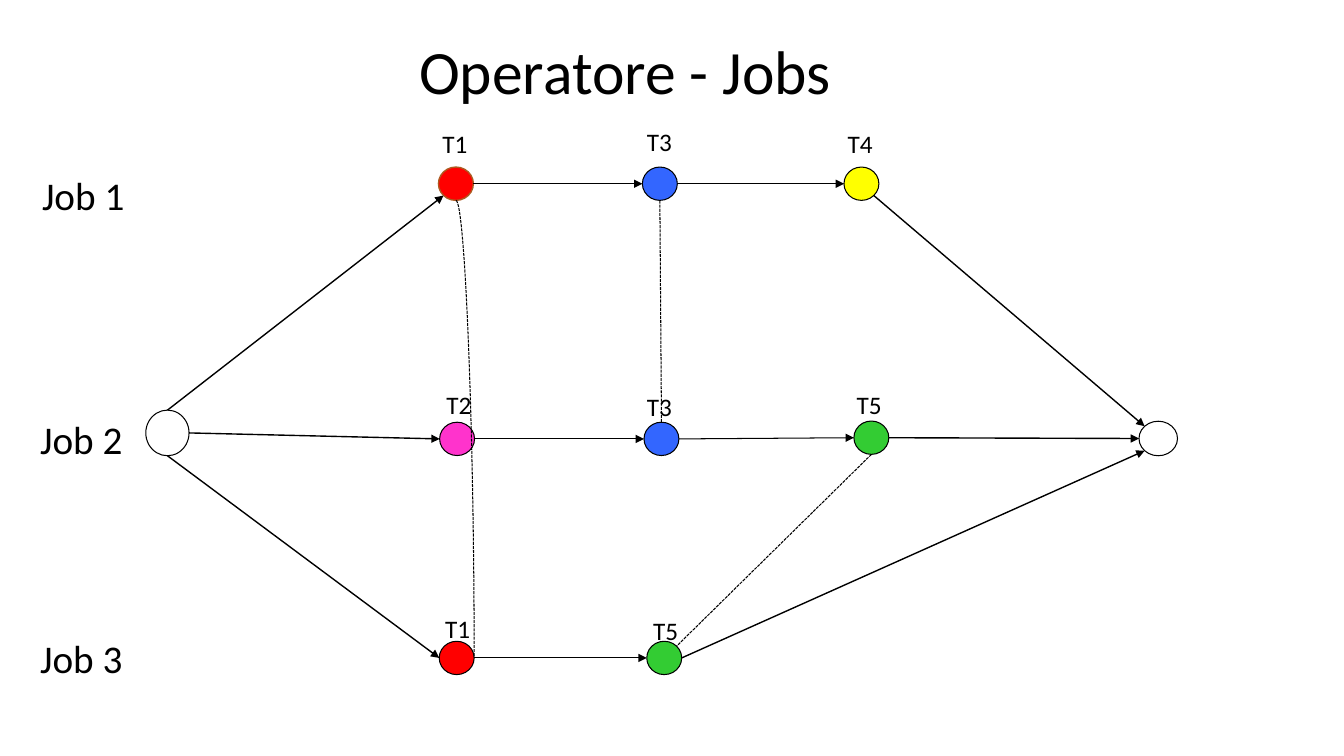
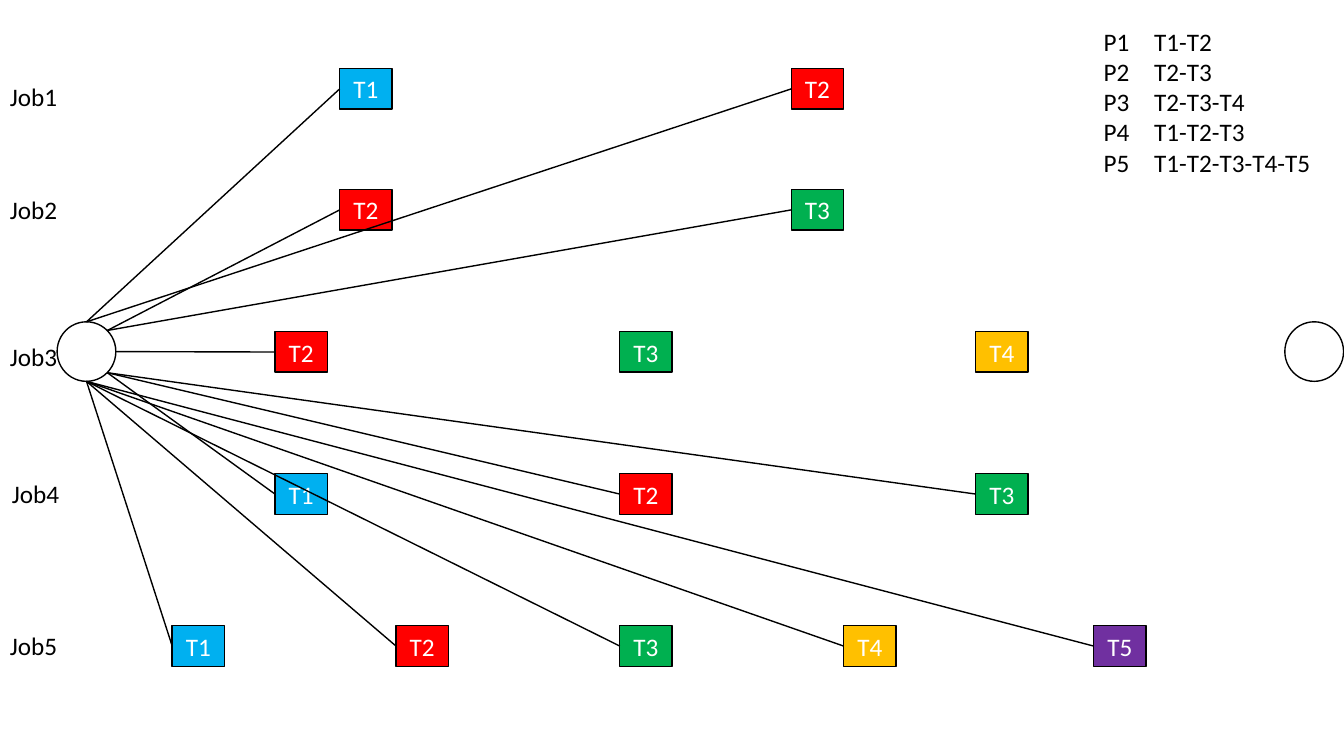
from lxml import etree
from pptx import Presentation
from pptx.dml.color import RGBColor
from pptx.enum.dml import MSO_LINE
from pptx.enum.shapes import MSO_CONNECTOR, MSO_SHAPE
from pptx.enum.text import MSO_ANCHOR, MSO_AUTO_SIZE, PP_ALIGN
from pptx.oxml.ns import qn
from pptx.util import Cm, Pt

OVAL, RECT = MSO_SHAPE.OVAL, MSO_SHAPE.RECTANGLE
LINE, CURVE = MSO_CONNECTOR.STRAIGHT, MSO_CONNECTOR.CURVE
DASH = MSO_LINE.SQUARE_DOT
LEFT, MID = PP_ALIGN.LEFT, PP_ALIGN.CENTER
TOP, CENTRE = MSO_ANCHOR.TOP, MSO_ANCHOR.MIDDLE
FIXED = MSO_AUTO_SIZE.NONE

FACE = "Calibri"
INK = {
    "black": "000000", "white": "FFFFFF", "red": "FF0000",
    "rust": "AE5A21", "blue": "3366FF", "pink": "FF33CC",
    "yellow": "FFFF00", "lime": "33CC33", "sky": "00B0F0",
    "green": "00B050", "gold": "FFC000", "plum": "7030A0",
}
DIAG = 0.71
PORTS = {
    "n": (0, -1), "ne": (DIAG, -DIAG), "e": (1, 0), "se": (DIAG, DIAG),
    "s": (0, 1), "sw": (-DIAG, DIAG), "w": (-1, 0), "nw": (-DIAG, -DIAG),
}


def tint(name):
    return RGBColor.from_string(INK[name])


def style(para, size, ink="black", align=LEFT):
    para.alignment = align
    font = para.font
    font.name, font.size = FACE, Pt(size)
    font.color.rgb = tint(ink)


def label(slide, text, x, y, w, h, size):
    frame = slide.shapes.add_textbox(Cm(x), Cm(y), Cm(w), Cm(h)).text_frame
    frame.word_wrap = True
    frame.text = text
    style(frame.paragraphs[0], size)


def shape(slide, kind, x, y, w, h, fill=None, edge="black", width=1):
    item = slide.shapes.add_shape(kind, Cm(x), Cm(y), Cm(w), Cm(h))
    item.shadow.inherit = False
    if fill:
        item.fill.solid()
        item.fill.fore_color.rgb = tint(fill)
    else:
        item.fill.background()
    item.line.color.rgb = tint(edge)
    item.line.width = Pt(width)
    return item


def node(slide, x, y, w, h, **looks):
    return shape(slide, OVAL, x - w / 2, y - h / 2, w, h, **looks)


def port(item, side):
    dx, dy = PORTS[side]
    return (int(item.left + item.width * (1 + dx) / 2),
            int(item.top + item.height * (1 + dy) / 2))


def link(slide, start, exit, end, entry, width=1, kind=LINE):
    wire = slide.shapes.add_connector(
        kind, *port(start, exit), *port(end, entry))
    wire.line.color.rgb = tint("black")
    wire.line.width = Pt(width)
    etree.SubElement(wire._element.spPr, qn("a:effectLst"))
    return wire


def arrow(wire):
    tail = etree.SubElement(wire.line._get_or_add_ln(), qn("a:tailEnd"))
    tail.set("type", "triangle")


def title(slide, text, x, y, w, h):
    head = slide.shapes.title
    head.left, head.top, head.width, head.height = map(Cm, (x, y, w, h))
    frame = head.text_frame
    frame.text = text
    frame.auto_size = FIXED
    frame.vertical_anchor = TOP
    style(frame.paragraphs[0], 44)


def graph(slide, left, top):
    tasks = [
        ("1a", "T1", "red", 11.49, 1.63, -0.59, -1.53),
        ("1b", "T3", "blue", 16.63, 1.63, -0.58, -1.58),
        ("1c", "T4", "yellow", 21.71, 1.63, -0.6, -1.53),
        ("2a", "T2", "pink", 11.52, 8.06, -0.52, -1.38),
        ("2b", "T3", "blue", 16.67, 8.06, -0.62, -1.33),
        ("2c", "T5", "lime", 21.96, 8.03, -0.62, -1.35),
        ("3a", "T1", "red", 11.51, 13.58, -0.54, -1.26),
        ("3b", "T5", "lime", 16.74, 13.58, -0.53, -1.19),
    ]
    nodes = {
        "in": node(slide, left + 4.22, top + 7.91, 1.09, 1.15, width=0.75),
        "out": node(slide, left + 29.19, top + 8.05, 0.97, 0.87, width=0.75),
    }
    for key, name, fill, x, y, dx, dy in tasks:
        first = key == "1a"
        nodes[key] = node(
            slide, left + x, top + y, 0.88, 0.84, fill=fill,
            edge="rust" if first else "black", width=1 if first else 0.75)
        label(slide, name, left + x + dx, top + y + dy, 1.3, 1.04, 18)

    outer = [
        ("in", "n", "1a", "sw"), ("in", "e", "2a", "w"),
        ("in", "s", "3a", "w"), ("1c", "se", "out", "nw"),
        ("2c", "e", "out", "w"), ("3b", "e", "out", "sw"),
    ]
    inner = [(a, "e", b, "w") for a, b in (
        ("1a", "1b"), ("1b", "1c"), ("2a", "2b"), ("2b", "2c"),
        ("3a", "3b"))]
    for wires, width in ((outer, 1), (inner, 0.75)):
        for a, exit, b, entry in wires:
            arrow(link(slide, nodes[a], exit, nodes[b], entry, width))

    for a, exit, b, entry, kind in (
            ("1a", "s", "3a", "e", CURVE), ("1b", "s", "2b", "n", LINE),
            ("2c", "s", "3b", "ne", LINE)):
        wire = link(slide, nodes[a], exit, nodes[b], entry, 0.75, kind)
        wire.line.dash_style = DASH
        if kind == CURVE:
            geom = wire._element.spPr.find(qn("a:prstGeom"))
            geom.set("prst", "curvedConnector2")

    for text, x, y in (("Job 1", 0.81, 1.19), ("Job 2", 0.76, 7.34),
                       ("Job 3", 0.76, 12.85)):
        label(slide, text, left + x, top + y, 3.25, 1.47, 28)


def box(slide, name, fill, x, y):
    item = shape(slide, RECT, x, y, 1.32, 1.02, fill=fill)
    frame = item.text_frame
    frame.vertical_anchor = CENTRE
    frame.text = name
    style(frame.paragraphs[0], 18, "white", MID)
    return item


def board(slide, left, top):
    fills = dict(T1="sky", T2="red", T3="green", T4="gold", T5="plum")
    pair, trio = (8.56, 19.94), (6.93, 15.62, 24.59)
    five = (4.34, 9.98, 15.62, 21.26, 27.56)
    jobs = [
        ("Job1", 0, 0.93, 0.73, "n", 1, pair),
        ("Job2", 0, 3.78, 3.78, "ne", 2, pair),
        ("Job3", 0, 7.48, 7.36, "e", 2, trio),
        ("Job4", 0.05, 10.94, 10.94, "se", 1, trio),
        ("Job5", 0, 14.77, 14.77, "s", 1, five),
    ]
    start, _ = [node(slide, left + x, top + 7.86, 1.48, 1.5, fill="white")
                for x in (2.18, 33.12)]
    wires = []
    for job, x, text, y, side, first, places in jobs:
        label(slide, job, left + x, top + text, 1.98, 1.02, 18)
        for i, place in enumerate(places):
            name = f"T{first + i}"
            item = box(slide, name, fills[name], left + place, top + y)
            if job != "Job3" or i == 0:
                wires.append((side, item))
    for side, item in wires:
        link(slide, start, side, item, "w").end_connect(item, 1)


def legend(slide, x, y, w, h):
    body = slide.placeholders[1]
    body.left, body.top, body.width, body.height = map(Cm, (x, y, w, h))
    frame = body.text_frame
    frame.auto_size = FIXED
    frame.margin_right = 0
    rows = [("P1", "T1-T2"), ("P2", "T2-T3"), ("P3", "T2-T3-T4"),
            ("P4", "T1-T2-T3"), ("P5", "T1-T2-T3-T4-T5")]
    frame.text = "\n".join("\t".join(row) for row in rows)
    for para in frame.paragraphs:
        para.space_before = Pt(0)
        props = para._p.get_or_add_pPr()
        props.set("marL", "0")
        props.set("indent", "0")
        etree.SubElement(props, qn("a:buNone"))
        tabs = etree.SubElement(props, qn("a:tabLst"))
        etree.SubElement(tabs, qn("a:tab"), pos=str(Cm(1.64)), algn="l")
        style(para, 18)


def main():
    deck = Presentation()
    deck.slide_width, deck.slide_height = Cm(33.87), Cm(19.05)

    slide = deck.slides.add_slide(deck.slide_layouts[5])
    title(slide, "Operatore - Jobs", 10.31, 0.69, 12.37, 2.16)
    graph(slide, 0, 3)

    slide = deck.slides.add_slide(deck.slide_layouts[1])
    head = slide.shapes.title._element
    head.getparent().remove(head)
    legend(slide, 27.56, 0.53, 6.3, 4.2)
    board(slide, 0, 1)

    deck.save("out.pptx")


if __name__ == "__main__":
    main()
